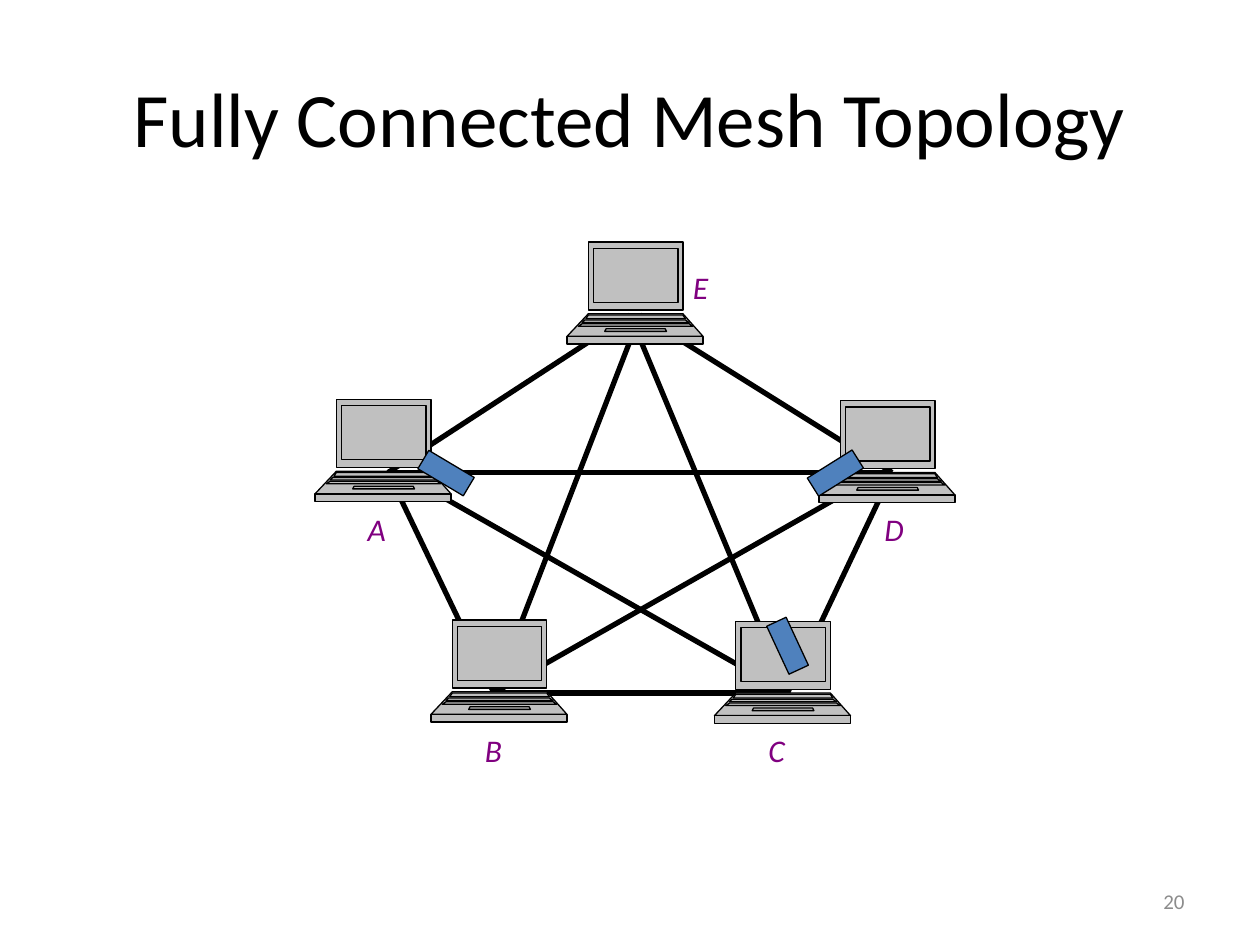
"""Build the slide on the fully connected mesh topology."""
from copy import deepcopy

from lxml.etree import SubElement
from pptx import Presentation
from pptx.dml.color import RGBColor as RGB
from pptx.enum.shapes import MSO_CONNECTOR as LINK, MSO_SHAPE as SHAPE
from pptx.enum.text import MSO_ANCHOR as ANCHOR, MSO_AUTO_SIZE as AUTO, PP_ALIGN as ALIGN
from pptx.oxml.ns import qn
from pptx.util import Pt

PX = 9144
HUES = {"ink": "000000", "case": "C0C0C0", "packet": "4F81BD", "label": "800080", "page": "8C8C8C"}


def paint(shape, hue):
    shape.shadow.inherit = False
    shape.fill.solid()
    shape.fill.fore_color.rgb = RGB.from_string(HUES[hue])
    shape.line.color.rgb = RGB.from_string(HUES["ink"])
    shape.line.width = Pt(0.75)


def write(text, box, size, hue, frame, align=ALIGN.LEFT, italic=None):
    body = slide.shapes.add_textbox(*(n * PX for n in box)).text_frame
    for key, value in frame.items():
        setattr(body, key, value)
    line = body.paragraphs[0]
    line.alignment = align
    run = line.add_run()
    run.text = text
    for key, value in {"name": "Calibri", "size": Pt(size), "italic": italic}.items():
        setattr(run.font, key, value)
    run.font.color.rgb = RGB.from_string(HUES[hue])


deck = Presentation()
deck.slide_width, deck.slide_height = 1000 * PX, 750 * PX
slide = deck.slides.add_slide(deck.slide_layouts[6])

middle = {"word_wrap": True, "vertical_anchor": ANCHOR.MIDDLE}
write("20", (717, 695, 233, 40), 12, "page", middle, ALIGN.RIGHT)

links = [
    (308, 375, 500, 250), (708, 375, 508, 250), (625, 550, 708, 375), (392, 550, 625, 550),
    (308, 375, 392, 550), (708, 375, 308, 375), (700, 375, 392, 550), (625, 550, 317, 375),
    (508, 250, 392, 550), (625, 550, 500, 250),
]
for ends in links:
    link = slide.shapes.add_connector(LINK.STRAIGHT, *(n * PX for n in ends))
    link.line.color.rgb = RGB.from_string(HUES["ink"])
    link.line.width = Pt(3)
    SubElement(link._element.spPr, qn("a:effectLst"))

write("Fully Connected Mesh Topology", (50, 30, 900, 125), 44, "ink", middle, ALIGN.CENTER)

parts = [
    (17, 92, 0, 17, 92, 54), (17, 92, 57, 0, 108, 75), (0, 108, 75, 0, 108, 81),
    (21, 88, 5, 21, 88, 48), (17, 92, 58, 15, 94, 61), (31, 78, 69, 30, 79, 71),
    (14, 94, 62, 12, 97, 64), (12, 97, 65, 9, 100, 67),
]
hosts = [(250, 317), (342, 492), (450, 192), (567, 493), (650, 318)]
for x, y in hosts:
    pen = slide.shapes.build_freeform(x + parts[0][0], y + parts[0][2], scale=PX)
    for west, east, top, left, right, base in parts:
        pen.move_to(x + west, y + top)
        turns = [(east, top), (right, base), (left, base)]
        pen.add_line_segments([(x + a, y + b) for a, b in turns], close=True)
    laptop = pen.convert_to_shape()
    paint(laptop, "case")
    whole = laptop._element.find(".//" + qn("a:path"))
    steps = list(whole)[1:]
    blank = deepcopy(whole)
    for step in list(blank):
        blank.remove(step)
    for step in steps:
        if step.tag == qn("a:moveTo"):
            piece = deepcopy(blank)
            whole.getparent().append(piece)
        piece.append(step)
    whole.getparent().remove(whole)

names = [("A", 282, 400, 35), ("C", 600, 575, 35), ("B", 375, 575, 35), ("D", 692, 400, 37), ("E", 540, 208, 34)]
snug = {"word_wrap": False, "auto_size": AUTO.SHAPE_TO_FIT_TEXT}
for name, x, y, wide in names:
    write(name, (x, y, wide, 40), 18, "label", snug, italic=True)

for x, y, turn in [(333, 367, 30.8), (642, 367, 327.9), (604, 504, 65.1)]:
    packet = slide.shapes.add_shape(SHAPE.RECTANGLE, x * PX, y * PX, 42 * PX, 17 * PX)
    packet.rotation = turn
    paint(packet, "packet")

deck.save("out.pptx")
